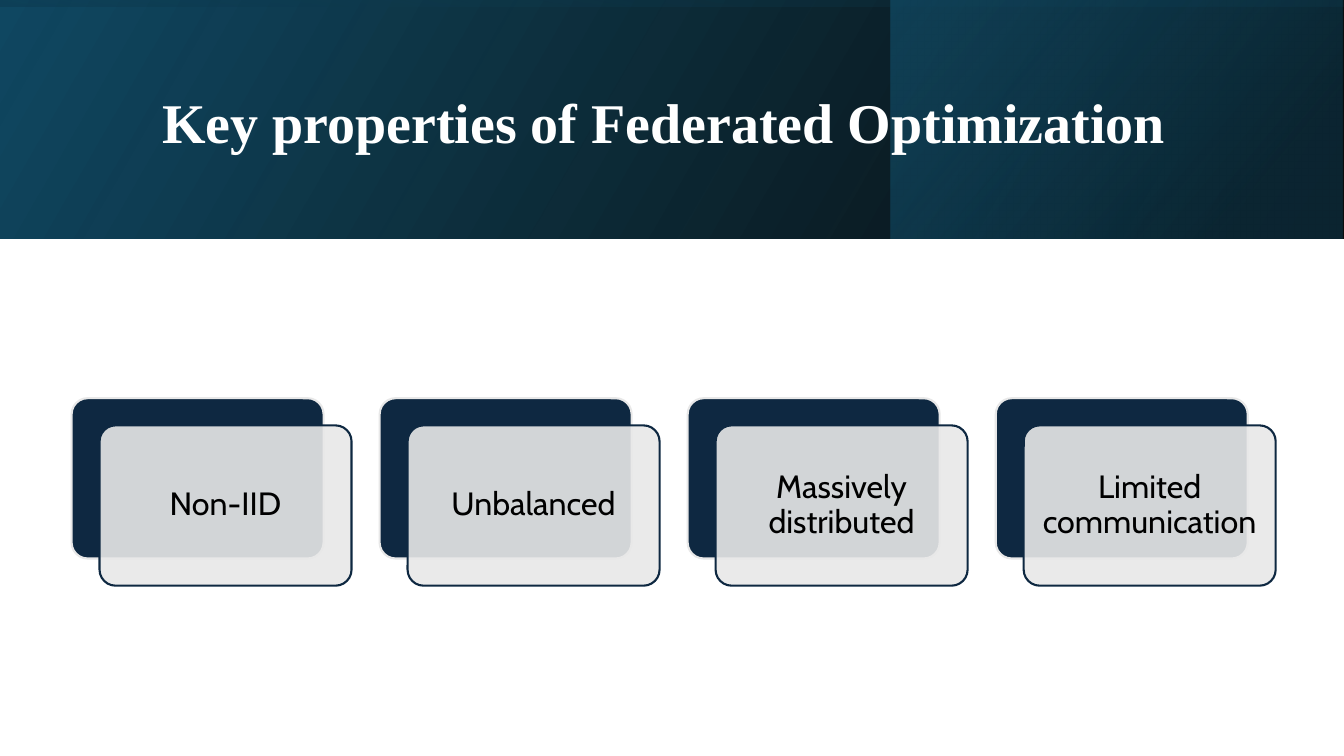
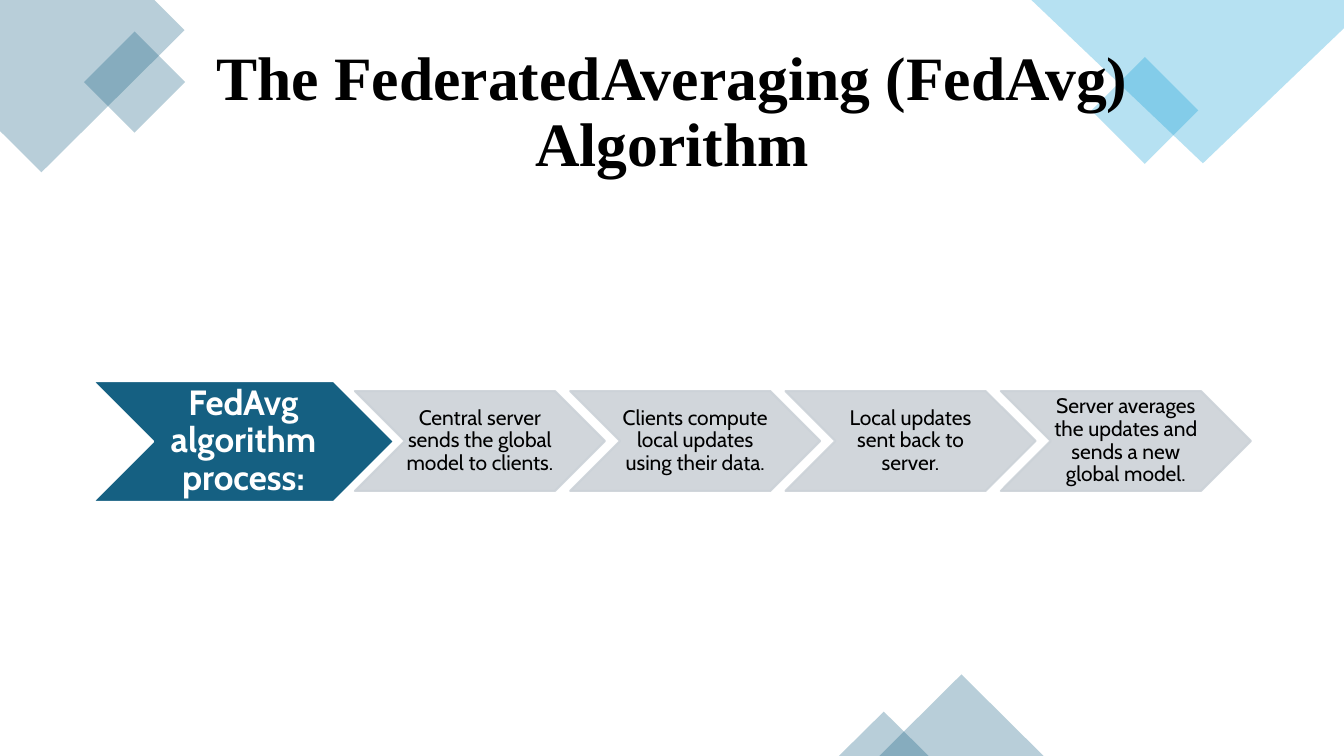
"""Build two slides on federated optimization and the FedAvg algorithm."""
from lxml.etree import SubElement
from pptx import Presentation
from pptx.dml.color import RGBColor
from pptx.enum.shapes import MSO_SHAPE
from pptx.enum.text import MSO_ANCHOR, PP_ALIGN
from pptx.oxml.ns import qn
from pptx.util import Inches, Pt

WHITE = RGBColor(0xFF, 0xFF, 0xFF)
BLACK = RGBColor(0x00, 0x00, 0x00)
NAVY = RGBColor(0x0E, 0x28, 0x41)
DEEP = RGBColor(0x0B, 0x30, 0x41)
OCEAN = RGBColor(0x10, 0x48, 0x62)
TEAL = RGBColor(0x15, 0x60, 0x82)
SKY = RGBColor(0x0F, 0x9E, 0xD5)
PALE = RGBColor(0xE8, 0xE8, 0xE8)
MIST = RGBColor(0xCC, 0xD2, 0xD8)
HEAD_FONT, BODY_FONT = "Times New Roman", "Cabin"

prs = Presentation()
prs.slide_width, prs.slide_height = Inches(13.33), Inches(7.5)
PX, PY = prs.slide_width / 100, prs.slide_height / 100


def draw(s, kind, geo, stops, line=None, angle=0):
    """Draw a preset in a box, or a polygon if kind is None, in percent of the slide."""
    if kind is None:
        pts = [(round(x * PX), round(y * PY)) for x, y in geo]
        fb = s.shapes.build_freeform(*pts[0])
        fb.add_line_segments(pts[1:])
        sp = fb.convert_to_shape()
    else:
        x, y, w, h = geo
        sp = s.shapes.add_shape(kind, round(x * PX), round(y * PY), round(w * PX), round(h * PY))
    sp.shadow.inherit = False
    if len(stops) == 1:
        sp.fill.solid()
        sp.fill.fore_color.rgb = stops[0][0]
    else:
        sp.fill.gradient()
        sp.fill.gradient_angle = angle
        for stop, (color, _, position) in zip(sp.fill.gradient_stops, stops):
            stop.color.rgb, stop.position = color, position / 100
    if line is None:
        sp.line.fill.background()
    else:
        sp.line.color.rgb, sp.line.width = line, Pt(1.5)
    opacities = [stop[1] for stop in stops]
    if line == stops[0][0]:
        opacities.append(stops[0][1])
    for clr, opacity in zip(sp._element.spPr.iter(qn("a:srgbClr")), opacities):
        if opacity < 100:
            SubElement(clr, qn("a:alpha")).set("val", str(opacity * 1000))
    return sp


def write(sp, text, size, color, font=BODY_FONT, bold=False, align=PP_ALIGN.CENTER, inset=0.1):
    """Set one paragraph, centred vertically, in a shape."""
    tf = sp.text_frame
    tf.word_wrap, tf.vertical_anchor = True, MSO_ANCHOR.MIDDLE
    tf.margin_left = tf.margin_right = Inches(inset)
    tf.margin_top = tf.margin_bottom = Inches(inset / 2)
    p = tf.paragraphs[0]
    p.text, p.alignment, p.line_spacing = text, align, 0.9
    p.font.name, p.font.size, p.font.bold = font, Pt(size), bold
    p.font.color.rgb = color


blank = prs.slide_layouts[6]
s1, s2 = prs.slides.add_slide(blank), prs.slides.add_slide(blank)

BAND = (0, 0, 100, 31.6)
PANEL = (66.3, 0, 33.6, 31.6)
for geo, stops, angle in [
    (BAND, [(BLACK, 96, 0), (OCEAN, 100, 100)], 150),
    (PANEL, [(DEEP, 68, 19), (TEAL, 48, 100)], 140),
    (BAND, [(OCEAN, 16, 23), (BLACK, 45, 99)], 260),
]:
    draw(s1, MSO_SHAPE.RECTANGLE, geo, stops, angle=angle)

CORNER = [(0, 0), (11.48, 0), (13.73, 4), (3.08, 22.8), (0, 17.33)]
WEDGE = [(100, 0), (76.74, 0), (89.5, 21.6), (100, 3.73)]
for kind, geo, color, turn in [
    (None, CORNER, TEAL, 0),
    (MSO_SHAPE.RECTANGLE, (7.35, 6.13, 5.33, 9.47), TEAL, 315),
    (MSO_SHAPE.RECTANGLE, (82.37, 9.6, 5.63, 10), SKY, 315),
    (None, WEDGE, SKY, 0),
    (MSO_SHAPE.ISOSCELES_TRIANGLE, (65.42, 89.2, 12.23, 10.8), TEAL, 0),
    (MSO_SHAPE.ISOSCELES_TRIANGLE, (62.42, 94.13, 6.68, 5.87), TEAL, 0),
]:
    draw(s2, kind, geo, [(color, 30)]).rotation = turn

for s, (x, y, w, h), text, size, color, align in [
    (s1, (11.33, 5.07, 79.7, 22.93), "Key properties of Federated Optimization",
     40, WHITE, PP_ALIGN.LEFT),
    (s2, (6.9, 5.33, 86.27, 19.33), "The FederatedAveraging (FedAvg) Algorithm",
     44, BLACK, PP_ALIGN.CENTER),
]:
    title = s.shapes.add_textbox(round(x * PX), round(y * PY), round(w * PX), round(h * PY))
    write(title, text, size, color, HEAD_FONT, True, align)

CARD_X, CARD_Y, CARD_W, CARD_H, CARD_STEP = 5.33, 52.67, 18.75, 21.2, 22.92
properties = ["Non-IID", "Unbalanced", "Massively distributed", "Limited communication"]
for i, text in enumerate(properties):
    x = CARD_X + i * CARD_STEP
    back = draw(s1, MSO_SHAPE.ROUNDED_RECTANGLE, (x, CARD_Y, CARD_W, CARD_H),
                [(NAVY, 100)], PALE)
    front = draw(s1, MSO_SHAPE.ROUNDED_RECTANGLE, (x + 2.08, CARD_Y + 3.6, CARD_W, CARD_H),
                 [(PALE, 90)], NAVY)
    back.adjustments[0] = front.adjustments[0] = 0.1
    write(front, text, 23, BLACK)

lead = draw(s2, MSO_SHAPE.CHEVRON, (6.9, 50.4, 22.43, 16), [(TEAL, 100)], WHITE)
write(lead, "FedAvg algorithm process:", 25, WHITE, bold=True, inset=0.02)

STEP_X, STEP_GAP = 26.41, 16.02
steps = [
    "Central server sends the global model to clients.",
    "Clients compute local updates using their data.",
    "Local updates sent back to server.",
    "Server averages the updates and sends a new global model.",
]
for i, text in enumerate(steps):
    step = draw(s2, MSO_SHAPE.CHEVRON, (STEP_X + i * STEP_GAP, 51.73, 18.6, 13.2),
                [(MIST, 90)], MIST)
    write(step, text, 15, BLACK, inset=0.01)

prs.save("out.pptx")
